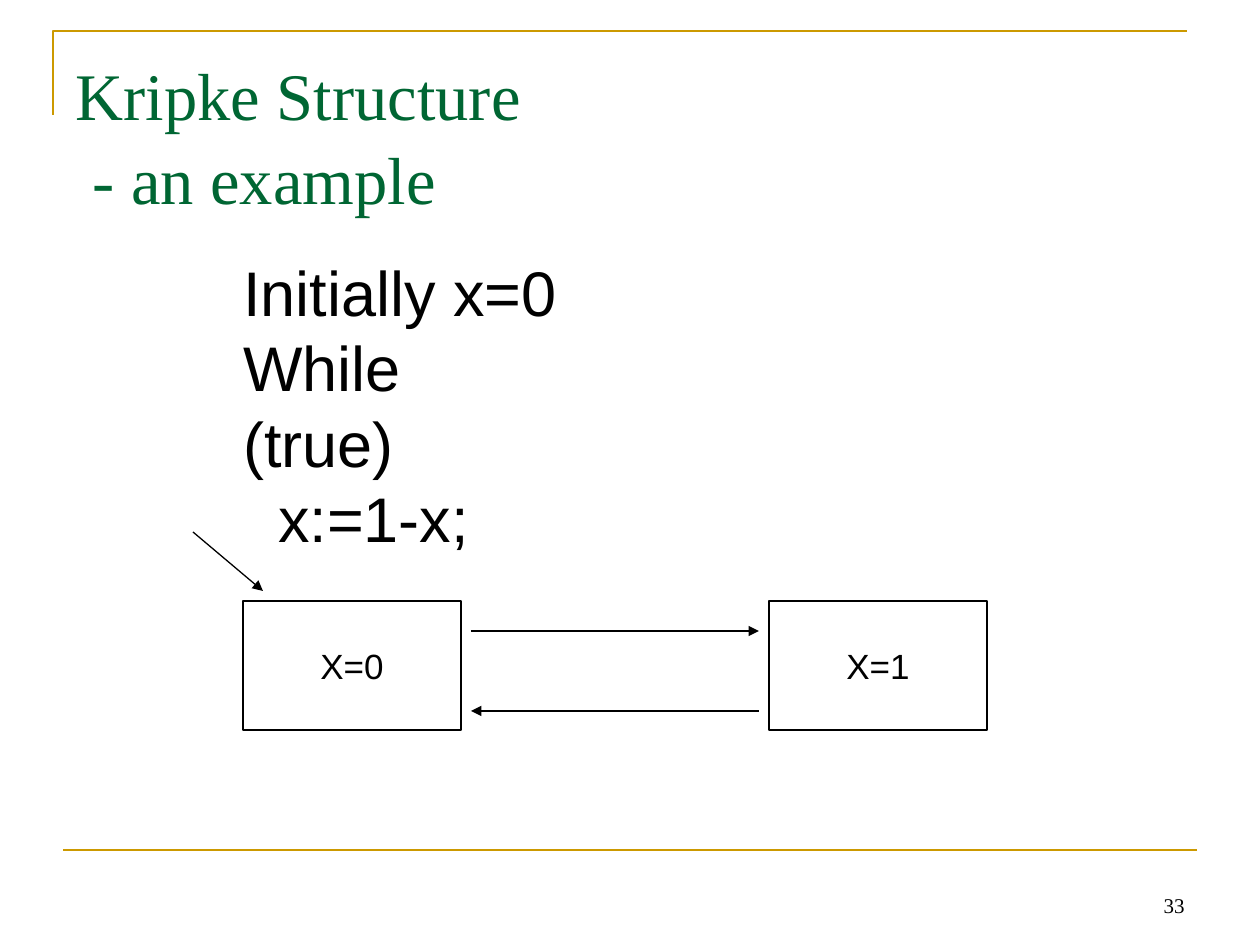
from lxml import etree
from pptx import Presentation
from pptx import util as u
from pptx.dml.color import RGBColor
from pptx.enum import shapes, text
from pptx.oxml.ns import qn

EMU_PER_PX = 914400 / 126
COLOURS = {"gold": "CC9900", "green": "006633", "black": "000000", "white": "FFFFFF"}
SERIF, SANS = "Times New Roman", "Arial"


def px(length):
    return u.Emu(round(length * EMU_PER_PX))


def colour(name):
    return RGBColor.from_string(COLOURS[name])


class SlideBuilder:
    def __init__(self, slide):
        self.slide = slide

    def style_line(self, shape, name, points):
        shape.line.color.rgb = colour(name)
        shape.line.width = u.Pt(points)

    def add_words(self, para, words, font, size, name="black"):
        """Add runs to a paragraph, with a line break between them."""
        for index, part in enumerate(words.split("\n")):
            if index:
                para.add_line_break()
            span = para.add_run()
            span.text = part
            span.font.name = font
            span.font.size = u.Pt(size)
            span.font.color.rgb = colour(name)

    def title(self, words, left, top, width, height):
        box = self.slide.shapes.title
        box.left, box.top, box.width, box.height = map(px, (left, top, width, height))
        frame = box.text_frame
        frame.auto_size = text.MSO_AUTO_SIZE.NONE
        frame.vertical_anchor = text.MSO_ANCHOR.TOP
        frame.margin_top = px(12)
        para = frame.paragraphs[0]
        para.alignment = text.PP_ALIGN.LEFT
        para.line_spacing = 1.05
        self.add_words(para, words, SERIF, 38, "green")

    def text_box(self, lines, left, top, width, height, font, size,
                 align=text.PP_ALIGN.LEFT, anchor=text.MSO_ANCHOR.TOP):
        box = self.slide.shapes.add_textbox(*map(px, (left, top, width, height)))
        frame = box.text_frame
        frame.word_wrap = True
        frame.vertical_anchor = anchor
        for index, words in enumerate(lines):
            para = frame.add_paragraph() if index else frame.paragraphs[0]
            para.alignment = align
            self.add_words(para, words, font, size)

    def state(self, label, left, top, width, height):
        box = self.slide.shapes.add_shape(
            shapes.MSO_SHAPE.RECTANGLE, *map(px, (left, top, width, height)))
        box.shadow.inherit = False
        box.fill.solid()
        box.fill.fore_color.rgb = colour("white")
        self.style_line(box, "black", 0.75)
        frame = box.text_frame
        frame.word_wrap = False
        frame.vertical_anchor = text.MSO_ANCHOR.MIDDLE
        para = frame.paragraphs[0]
        para.alignment = text.PP_ALIGN.CENTER
        self.add_words(para, label, SANS, 20)

    def line(self, start, end, name, points):
        line = self.slide.shapes.add_connector(
            shapes.MSO_CONNECTOR.STRAIGHT, *map(px, (*start, *end)))
        self.style_line(line, name, points)
        etree.SubElement(line.element.spPr, qn("a:effectLst"))
        return line

    def arrow(self, start, end):
        line = self.line(start, end, "black", 0.75)
        outline = line.element.spPr.find(qn("a:ln"))
        etree.SubElement(outline, qn("a:tailEnd"), type="triangle")

    def open_outline(self, points, name, width):
        start, *rest = [tuple(map(px, point)) for point in points]
        builder = self.slide.shapes.build_freeform(*start)
        builder.add_line_segments(rest, close=False)
        outline = builder.convert_to_shape()
        outline.shadow.inherit = False
        outline.fill.background()
        self.style_line(outline, name, width)


def main():
    deck = Presentation()
    deck.slide_width, deck.slide_height = u.Inches(10), u.Inches(7.5)
    page = SlideBuilder(deck.slides.add_slide(deck.slide_layouts[5]))

    page.open_outline([(53, 115), (53, 31), (1187, 31)], "gold", 1.5)
    page.line((63, 850), (1197, 850), "gold", 1.5)
    page.text_box(["33"], 903, 861, 294, 63, SERIF, 12,
                  text.PP_ALIGN.RIGHT, text.MSO_ANCHOR.BOTTOM)
    page.title("Kripke Structure\n - an example", 63, 38, 1134, 157)
    page.text_box(["Initially x=0", "While (true)", "  x:=1-x;"],
                  231, 247, 340, 315, SANS, 36)

    state_top, state_width, state_height = 601, 218, 129
    for label, left in (("X=0", 243), ("X=1", 769)):
        page.state(label, left, state_top, state_width, state_height)

    near_first, near_second = 471, 759
    page.arrow((193, 532), (263, 591))
    page.arrow((near_first, 631), (near_second, 631))
    page.arrow((near_second, 711), (near_first, 711))

    deck.save("out.pptx")


if __name__ == "__main__":
    main()
